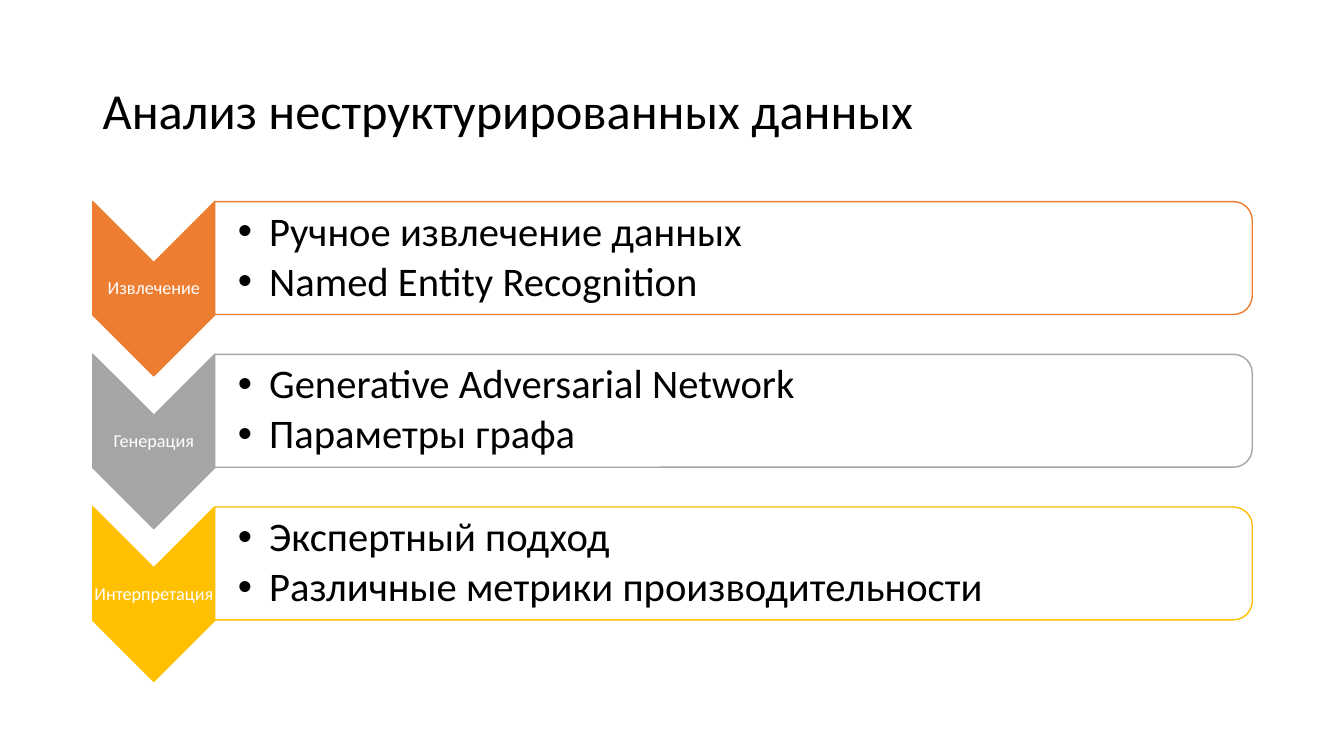
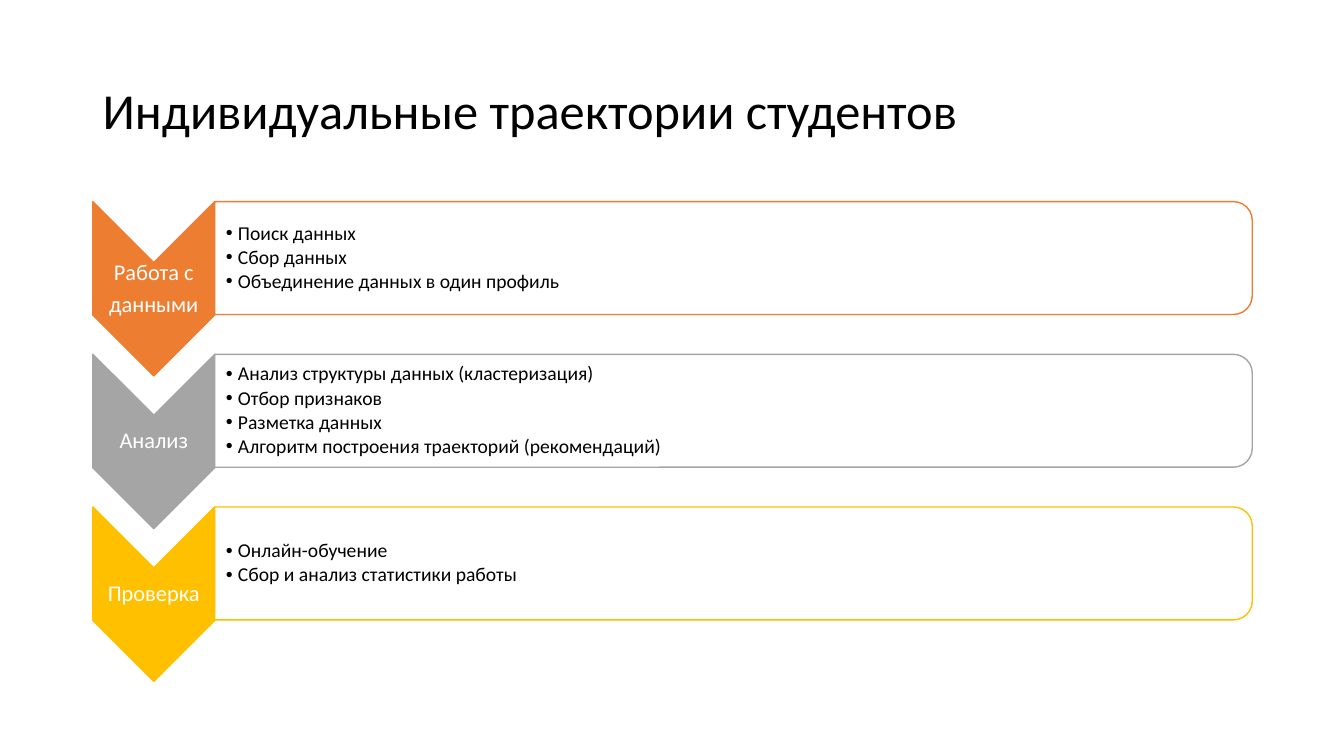
from dataclasses import dataclass

from lxml.etree import SubElement
from pptx import Presentation
from pptx.dml.color import RGBColor
from pptx.enum.shapes import MSO_SHAPE as Shape
from pptx.enum.text import MSO_ANCHOR as Anchor, PP_ALIGN as Align
from pptx.oxml.ns import qn
from pptx.util import Inches, Pt


@dataclass(frozen=True)
class Theme:
    font: str = "Calibri"
    ink: str = "000000"
    paper: str = "FFFFFF"
    accents: tuple = ("ED7D31", "A5A5A5", "FFC000")
    card_opacity: int = 90
    title_size: int = 36
    line_width: int = 1
    line_spacing: float = 0.9
    label_gap: float = 0.35  # space after, as a share of the type size
    bullet_gap: float = 0.15


@dataclass(frozen=True)
class Sizes:
    label: int
    bullet: int
    indent: float
    left_inset: float
    inset: float


THEME = Theme()
LARGE = Sizes(label=13, bullet=29, indent=0.31, left_inset=0.23, inset=0.02)
SMALL = Sizes(label=16, bullet=14, indent=0.12, left_inset=0.11, inset=0.01)

# Boxes are left, top, width, height in inches
TITLE_BOX = (0.92, 0.4, 11.5, 1.45)
STEPS_BOX = (0.92, 2, 11.5, 4.76)
CHEVRON_W, CHEVRON_H = 1.21, 1.73
CARD_H, LABEL_H, BULLETS_H = 1.12, 0.52, 1.01

SLIDES = [
    ("Анализ неструктурированных данных", LARGE, [
        (["Извлечение"],
         ["Ручное извлечение данных", "Named Entity Recognition"]),
        (["Генерация"],
         ["Generative Adversarial Network", "Параметры графа"]),
        (["Интерпретация"],
         ["Экспертный подход", "Различные метрики производительности"]),
    ]),
    ("Индивидуальные траектории студентов", SMALL, [
        (["Работа с", "данными"],
         ["Поиск данных", "Сбор данных", "Объединение данных в один профиль"]),
        (["Анализ"],
         ["Анализ структуры данных (кластеризация)", "Отбор признаков",
          "Разметка данных", "Алгоритм построения траекторий (рекомендаций)"]),
        (["Проверка"],
         ["Онлайн-обучение", "Сбор и анализ статистики работы"]),
    ]),
]


def set_all(target, formats):
    for name, value in formats.items():
        setattr(target, name, value)


def add_bullet(paragraph, indent):
    props = paragraph._p.get_or_add_pPr()
    props.set("marL", str(Inches(indent)))
    props.set("indent", str(-Inches(indent)))
    SubElement(props, qn("a:buFont")).set("typeface", "Arial")
    SubElement(props, qn("a:buChar")).set("char", "•")


def add_text(slide, box, lines, size, color, insets=(0.1, 0.05, 0.1, 0.05),
             align=Align.LEFT, gap=0, indent=None):
    frame = slide.shapes.add_textbox(*map(Inches, box)).text_frame
    left, top, right, bottom = map(Inches, insets)
    set_all(frame, {
        "word_wrap": True, "vertical_anchor": Anchor.MIDDLE,
        "margin_left": left, "margin_top": top,
        "margin_right": right, "margin_bottom": bottom,
    })
    for number, line in enumerate(lines):
        paragraph = frame.add_paragraph() if number else frame.paragraphs[0]
        set_all(paragraph, {
            "alignment": align, "line_spacing": THEME.line_spacing,
            "space_before": Pt(0), "space_after": Pt(size * gap),
        })
        if indent:
            add_bullet(paragraph, indent)
        run = paragraph.add_run()
        run.text = line
        set_all(run.font, {"name": THEME.font, "size": Pt(size)})
        run.font.color.rgb = RGBColor.from_string(color)


def add_turned(slide, kind, box, fill, line):
    """Place a shape turned by 90 degrees so that it covers the box."""
    left, top, width, height = box
    shift = (width - height) / 2
    shape = slide.shapes.add_shape(kind, *map(
        Inches, (left + shift, top - shift, height, width)))
    shape.rotation = 90
    shape.shadow.inherit = False
    shape.fill.solid()
    shape.fill.fore_color.rgb = RGBColor.from_string(fill)
    shape.line.color.rgb = RGBColor.from_string(line)
    shape.line.width = Pt(THEME.line_width)
    return shape


def add_step(slide, box, labels, bullets, accent, sizes):
    left, top, width, height = box
    card_left, card_width = left + CHEVRON_W, width - CHEVRON_W

    # Chevron with its label
    add_turned(slide, Shape.CHEVRON, (left, top, CHEVRON_W, height),
               accent, accent)
    add_text(slide, (left, top + (height - LABEL_H) / 2, CHEVRON_W, LABEL_H),
             labels, sizes.label, THEME.paper, insets=(0.01,) * 4,
             align=Align.CENTER, gap=THEME.label_gap)

    # Card with its bullets
    card = add_turned(slide, Shape.ROUND_2_SAME_RECTANGLE,
                      (card_left, top, card_width, CARD_H),
                      THEME.paper, accent)
    paint = card._element.spPr.find(qn("a:solidFill"))[0]
    SubElement(paint, qn("a:alpha")).set("val", str(THEME.card_opacity * 1000))
    add_text(slide, (card_left, top + (CARD_H - BULLETS_H) / 2,
                     card_width, BULLETS_H),
             bullets, sizes.bullet, THEME.ink,
             insets=(sizes.left_inset,) + (sizes.inset,) * 3,
             gap=THEME.bullet_gap, indent=sizes.indent)


def add_steps(slide, box, steps, sizes):
    left, top, width, height = box
    pitch = (height - CHEVRON_H) / (len(steps) - 1)
    for row, ((labels, bullets), accent) in enumerate(
            zip(steps, THEME.accents)):
        add_step(slide, (left, top + row * pitch, width, CHEVRON_H),
                 labels, bullets, accent, sizes)


def main():
    deck = Presentation()
    set_all(deck, {"slide_width": Inches(13.33), "slide_height": Inches(7.5)})
    for title, sizes, steps in SLIDES:
        slide = deck.slides.add_slide(deck.slide_layouts[6])
        add_text(slide, TITLE_BOX, [title], THEME.title_size, THEME.ink)
        add_steps(slide, STEPS_BOX, steps, sizes)
    deck.save("out.pptx")


if __name__ == "__main__":
    main()
